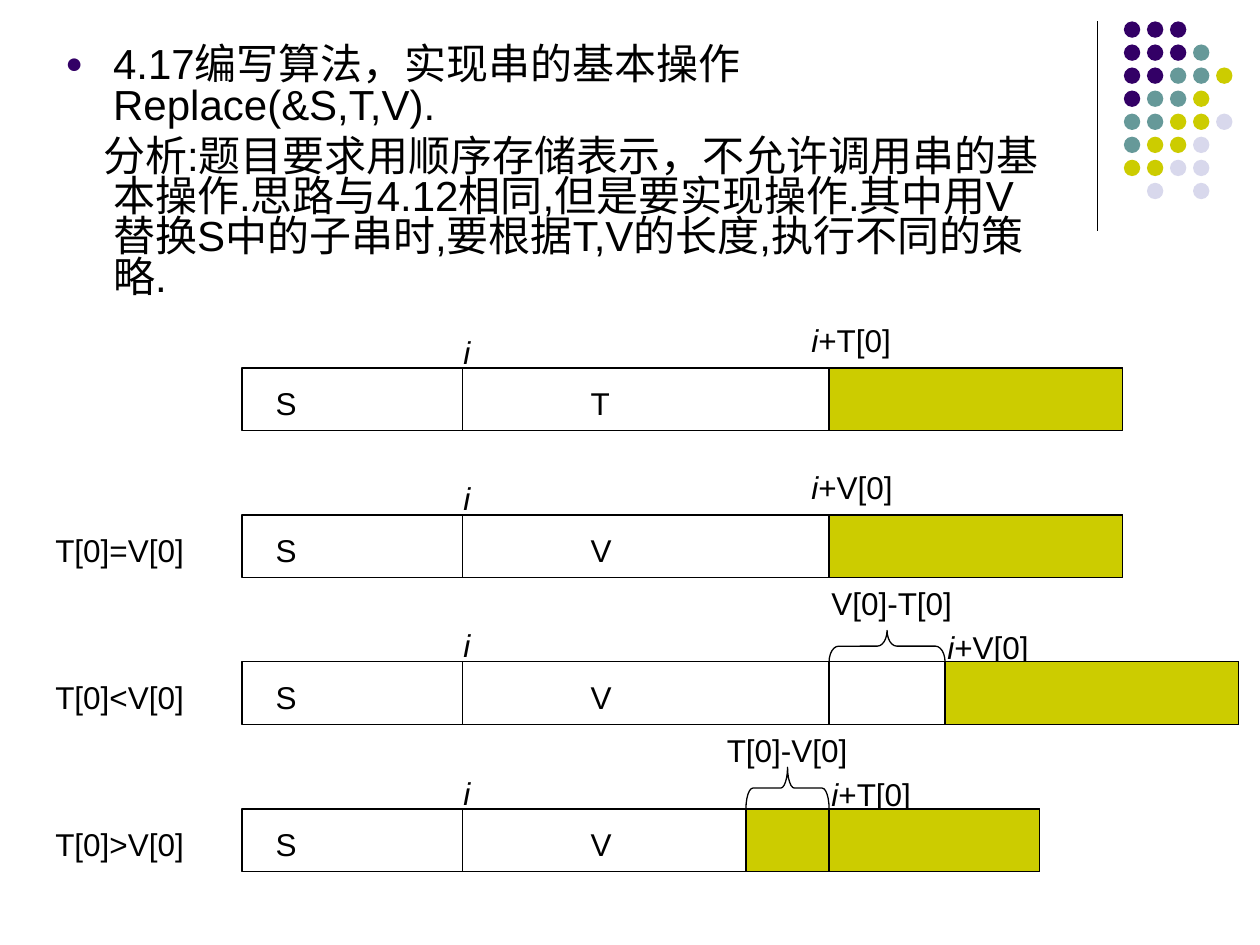
from dataclasses import dataclass

from lxml.etree import SubElement
from pptx import Presentation
from pptx.dml.color import RGBColor
from pptx.enum.shapes import MSO_CONNECTOR as Connector, MSO_SHAPE as Shape
from pptx.enum.text import MSO_AUTO_SIZE as AutoSize
from pptx.oxml.ns import qn
from pptx.util import Inches, Pt


@dataclass(frozen=True)
class Theme:
    """Colours, font and type sizes of the slide."""
    ink: str = "000000"
    paper: str = "FFFFFF"
    purple: str = "330066"
    teal: str = "669999"
    lime: str = "CCCC00"
    mist: str = "D8D8EC"
    font: str = "Arial"
    body: int = 24
    label: int = 18
    stroke: float = 0.75


@dataclass(frozen=True)
class Row:
    """One state of the string storage."""
    middle: str
    tail: float
    index: str
    index_at: tuple
    condition: str = ""
    brace: str = ""
    brace_at: float = 0
    brace_height: float = 0


THEME = Theme()
BAR_LEFT, BAR_HEIGHT, TAIL_WIDTH = 1.92, 0.5, 2.33
MATCH_START, MATCH_END = 3.67, 6.58
FIRST_TOP, ROW_STEP = 2.92, 3.5 / 3
INDEX_WIDTH = 0.88
DOT_LEFT, DOT_TOP, DOT_STEP, DOT_SIZE = 8.92, 0.17, 0.183, 0.13
DOTS = ["PPP", "PPPT", "PPTTL", "PTTL", "TTLLM", "TLLM", "LLMM", " M M"]
DOT_COLORS = {"P": THEME.purple, "T": THEME.teal, "L": THEME.lime, "M": THEME.mist}
ROWS = [
    Row("T", 6.58, "+T[0]", (6.34, -0.42)),
    Row("V", 6.58, "+V[0]", (6.34, -0.42), "T[0]=V[0]"),
    Row("V", 7.5, "+V[0]", (7.42, -0.32), "T[0]<V[0]", "V[0]-T[0]", 6.5, 0.25),
    Row("V", 5.92, "+T[0]", (6.5, -0.32), "T[0]>V[0]", "T[0]-V[0]", 5.67, 0.33),
]
TITLE = "4.17编写算法，实现串的基本操作Replace(&S,T,V)."
ANALYSIS = ("分析:题目要求用顺序存储表示，不允许调用串的基本操作."
            "思路与4.12相同,但是要实现操作.其中用V 替换S中的子串时,"
            "要根据T,V的长度,执行不同的策略.")


def add_span(para, text, size=THEME.label, italic=False, color=THEME.ink):
    """Add formatted text to a paragraph."""
    span = para.add_run()
    span.text = text
    span.font.name = THEME.font
    span.font.size = Pt(size)
    span.font.italic = italic
    span.font.color.rgb = RGBColor.from_string(color)


def add_shape(page, kind, left, top, width, height, fill=None, line=THEME.ink):
    """Add a flat preset shape."""
    shape = page.shapes.add_shape(
        kind, Inches(left), Inches(top), Inches(width), Inches(height))
    shape.shadow.inherit = False
    if fill:
        shape.fill.solid()
        shape.fill.fore_color.rgb = RGBColor.from_string(fill)
    else:
        shape.fill.background()
    if line:
        shape.line.color.rgb = RGBColor.from_string(line)
        shape.line.width = Pt(THEME.stroke)
    else:
        shape.line.fill.background()
    return shape


def add_vertical(page, left, top, height):
    """Add a thin vertical line."""
    line = page.shapes.add_connector(
        Connector.STRAIGHT, Inches(left), Inches(top), Inches(left), Inches(top + height))
    line.line.color.rgb = RGBColor.from_string(THEME.ink)
    line.line.width = Pt(THEME.stroke)
    SubElement(line._element.spPr, qn("a:effectLst"))


def add_label(page, left, top, width, text="", variable=""):
    """Add a one-line label, led by an italic variable if given."""
    box = page.shapes.add_textbox(Inches(left), Inches(top), Inches(width), Inches(0.4))
    box.text_frame.word_wrap = False
    box.text_frame.auto_size = AutoSize.SHAPE_TO_FIT_TEXT
    para = box.text_frame.paragraphs[0]
    if variable:
        add_span(para, variable, italic=True)
    if text:
        add_span(para, text)


def add_brace(page, start, end, bottom, height):
    """Add a brace that points up and spans start to end."""
    width = end - start
    brace = add_shape(page, Shape.LEFT_BRACE, (start + end - height) / 2,
                      bottom - (height + width) / 2, height, width)
    brace.rotation = 90
    brace.adjustments[0] = width / height / 12


def set_indent(para, margin, indent, bullet=False):
    """Set the hanging indent of a paragraph and its bullet."""
    props = para._p.get_or_add_pPr()
    props.set("marL", str(Inches(margin)))
    props.set("indent", str(Inches(indent)))
    if bullet:
        color = SubElement(props, qn("a:buClr"))
        SubElement(color, qn("a:srgbClr"), val=THEME.purple)
        SubElement(props, qn("a:buSzPct"), val="70000")
        SubElement(props, qn("a:buFont"), typeface=THEME.font)
        SubElement(props, qn("a:buChar"), char="●")
    para.line_spacing = 0.8


def add_body(page):
    """Add the exercise and its analysis."""
    box = page.shapes.add_textbox(Inches(0.42), Inches(0.33), Inches(8), Inches(2.17))
    box.text_frame.word_wrap = True
    title = box.text_frame.paragraphs[0]
    set_indent(title, 0.38, -0.38, bullet=True)
    add_span(title, TITLE, size=THEME.body)
    analysis = box.text_frame.add_paragraph()
    set_indent(analysis, 0.38, -0.08)
    analysis.space_before = Pt(6)
    add_span(analysis, ANALYSIS, size=THEME.body)


def add_dots(page):
    """Add the corner line and its grid of dots."""
    add_vertical(page, 8.71, 0.17, 1.66)
    for row, codes in enumerate(DOTS):
        for column, code in enumerate(codes):
            if code in DOT_COLORS:
                add_shape(page, Shape.OVAL, DOT_LEFT + column * DOT_STEP,
                          DOT_TOP + row * DOT_STEP, DOT_SIZE, DOT_SIZE,
                          fill=DOT_COLORS[code], line=None)


def add_row(page, row, top):
    """Add one storage bar with its labels."""
    add_shape(page, Shape.RECTANGLE, BAR_LEFT, top,
              row.tail + TAIL_WIDTH - BAR_LEFT, BAR_HEIGHT, fill=THEME.paper)
    add_label(page, 3.58, top - 0.33, 0.25, variable="i")
    add_label(page, 2.09, top + 0.08, 0.36, "S")
    add_label(page, 4.59, top + 0.08, 0.36, row.middle)
    left, offset = row.index_at
    add_label(page, left, top + offset, INDEX_WIDTH, row.index, variable="i")
    if row.condition:
        add_label(page, 0.34, top + 0.08, 1.22, row.condition)
    add_shape(page, Shape.RECTANGLE, row.tail, top, TAIL_WIDTH, BAR_HEIGHT, fill=THEME.lime)
    for edge in sorted({MATCH_START, MATCH_END, row.tail}):
        add_vertical(page, edge, top, BAR_HEIGHT)
    if row.brace:
        start, end = sorted((MATCH_END, row.tail))
        add_brace(page, start, end, top, row.brace_height)
        add_label(page, row.brace_at, top - 0.67, 1.16, row.brace)


def main():
    """Build the slide and save it."""
    deck = Presentation()
    deck.slide_width, deck.slide_height = Inches(10), Inches(7.5)
    page = deck.slides.add_slide(deck.slide_layouts[6])
    add_dots(page)
    add_body(page)
    for number, row in enumerate(ROWS):
        add_row(page, row, FIRST_TOP + number * ROW_STEP)
    deck.save("out.pptx")


if __name__ == "__main__":
    main()
